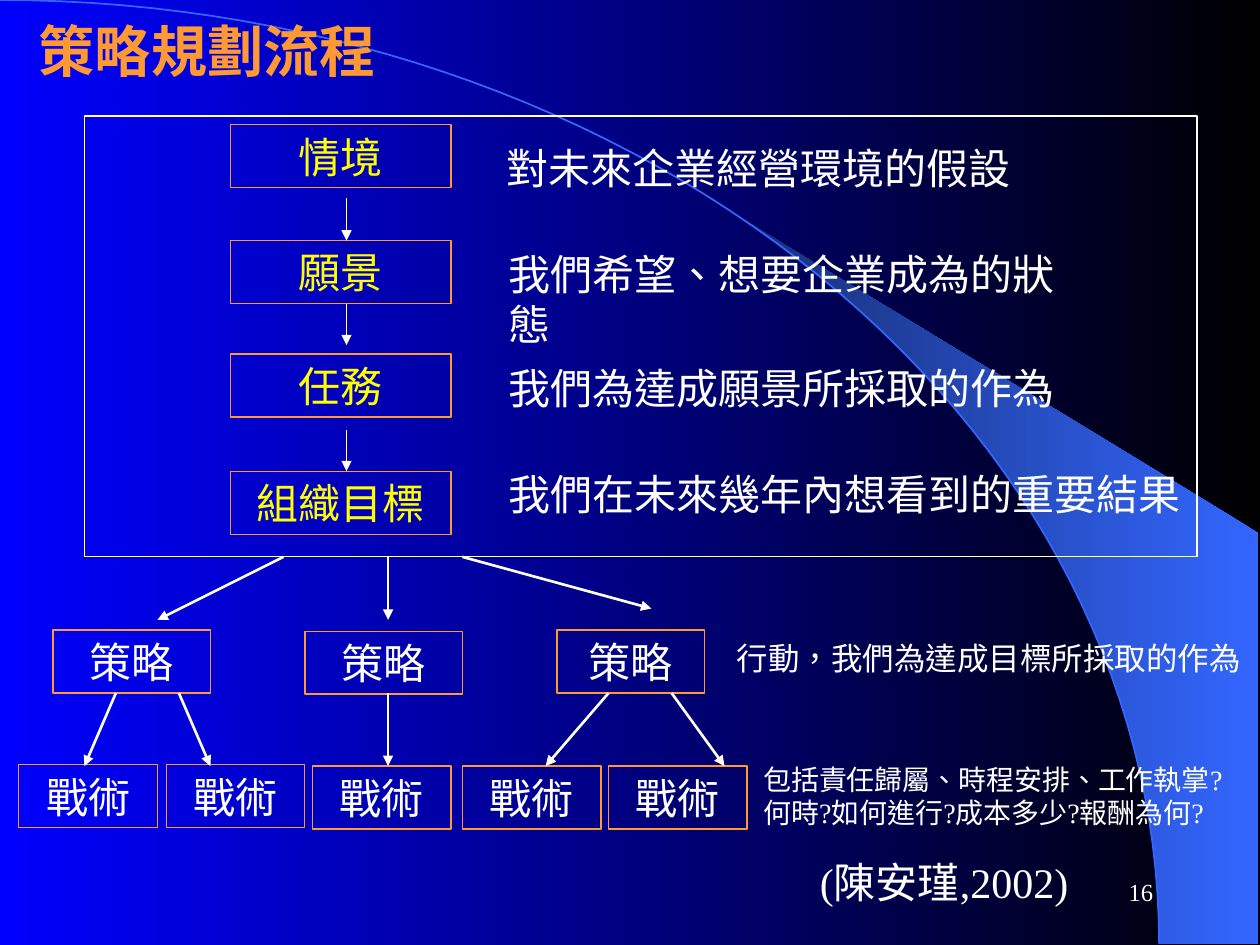
from math import asin, cos, pi, sin

from lxml import etree
from pptx import Presentation
from pptx.dml.color import RGBColor
from pptx.enum import lang, shapes, text
from pptx.oxml.ns import qn
from pptx.util import Inches, Pt

WHITE, YELLOW, ORANGE = "FFFFFF", "FFFF00", "FF9933"
FONT = "Times New Roman"

TITLE = "策略規劃流程"
# label, box top, note, note left, note top
STEPS = [
    ("情境", 0.99, "對未來企業經營環境的假設", 3.92, 1.08),
    ("願景", 1.91, "我們希望、想要企業成為的狀態", 3.94, 1.92),
    ("任務", 2.81, "我們為達成願景所採取的作為", 3.94, 2.83),
    ("組織目標", 3.74, "我們在未來幾年內想看到的重要結果", 3.94, 3.67),
]
NOTE_WIDTHS = [4.2, 4.86, 4.53, 5.53]
PLANS = [(0.42, 5, 1.25), (2.42, 5.01, 1.25), (4.42, 5, 1.17)]
TACTICS = [(0.15, 6.07), (1.32, 6.07), (2.48, 6.08), (3.67, 6.08), (4.83, 6.08)]
PLAN_NOTE = "行動，我們為達成目標所採取的作為"
TACTIC_NOTE = ["包括責任歸屬、時程安排、工作執掌?", "何時?如何進行?成本多少?報酬為何?"]
SOURCE = "(陳安瑾,2002)"

DROPS = [(1.57, 1.91), (2.41, 2.74), (3.41, 3.74)]  # arrows between steps
FANS = [(3.08, 3.08, 4.92), (3.67, 5.17, 4.83), (2.25, 1.25, 4.92)]
FORKS = [(0.92, 0.67), (1.42, 1.67), (3.08, 3.08), (4.83, 4.33), (5.33, 5.75)]

ARC_W, ARC_H = 9.2, 7.49
TIP = (5.89, 1.73)  # where the wedge leaves the arc


def color(code):
    return RGBColor.from_string(code)


def shade(fill, first, last):
    fill.gradient()
    fill.gradient_angle = 180
    for stop, code in zip(fill.gradient_stops, (first, last)):
        stop.color.rgb = color(code)


def curve(start, count=60):
    """Points along the quarter ellipse, from angle start to its lower end."""
    angles = [start + (pi / 2 - start) * i / count for i in range(count + 1)]
    return [(ARC_W * sin(a), ARC_H * (1 - cos(a))) for a in angles]


def outline(points, close):
    spots = [(Inches(x), Inches(y)) for x, y in points]
    pen = slide.shapes.build_freeform(*spots[0], scale=1.0)
    pen.add_line_segments(spots[1:], close=close)
    shape = pen.convert_to_shape()
    shape.shadow.inherit = False
    return shape


def write(shape, words, size=24, ink=WHITE, bold=False, align="LEFT",
          wrap=False, grow=True):
    frame = shape.text_frame
    frame.word_wrap = wrap
    fit = text.MSO_AUTO_SIZE
    frame.auto_size = fit.SHAPE_TO_FIT_TEXT if grow else fit.NONE
    lines = [words] if isinstance(words, str) else words
    for i, line in enumerate(lines):
        para = frame.add_paragraph() if i else frame.paragraphs[0]
        para.alignment = getattr(text.PP_ALIGN, align)
        run = para.add_run()
        run.text = line
        font = run.font
        font.name, font.size, font.bold = FONT, Pt(size), bold
        font.color.rgb = color(ink)
        font.language_id = lang.MSO_LANGUAGE_ID.TRADITIONAL_CHINESE
    return shape


def label(words, x, y, w, h=0.5, **style):
    box = slide.shapes.add_textbox(*map(Inches, (x, y, w, h)))
    return write(box, words, **style)


def rect(x, y, w, h=0.5, edge=ORANGE):
    box = slide.shapes.add_shape(shapes.MSO_SHAPE.RECTANGLE,
                                 *map(Inches, (x, y, w, h)))
    box.shadow.inherit = False
    box.fill.background()
    box.line.color.rgb = color(edge)
    box.line.width = Pt(0.75)
    return box


def arrow(x1, y1, x2, y2, width=1.5):
    line = slide.shapes.add_connector(shapes.MSO_CONNECTOR.STRAIGHT,
                                      *map(Inches, (x1, y1, x2, y2)))
    line.line.color.rgb = color(WHITE)
    line.line.width = Pt(width)
    etree.SubElement(line.line._get_or_add_ln(), qn("a:tailEnd"), type="triangle")
    etree.SubElement(line._element.spPr, qn("a:effectLst"))


deck = Presentation()
deck.slide_width, deck.slide_height = Inches(10), Inches(7.5)
slide = deck.slides.add_slide(deck.slide_layouts[6])
shade(slide.background.fill, "000000", "0000FF")

wedge = outline(curve(asin(TIP[0] / ARC_W)) + [(9.99, ARC_H), (9.99, 4.23)], True)
shade(wedge.fill, "3366FF", "172F75")
wedge.line.fill.background()

arc = outline(curve(0), False)
arc.fill.background()
arc.line.color.rgb = color("3366FF")
arc.line.width = Pt(1)

label(TITLE, 0.21, 0.08, 2.87, 0.64, size=32, ink=ORANGE, bold=True, align="CENTER")

rect(0.67, 0.92, 8.83, 3.5, edge=WHITE)
for (name, top, note, x, y), width in zip(STEPS, NOTE_WIDTHS):
    write(rect(1.83, top, 1.75), name, ink=YELLOW, align="CENTER", wrap=True)
    label(note, x, y, width)
for x, y, width in PLANS:
    write(rect(x, y, width), "策略", align="CENTER", wrap=True)
for x, y in TACTICS:
    write(rect(x, y, 1.1), "戰術", align="CENTER", wrap=True)

for top, end in DROPS:
    arrow(2.75, top, 2.75, end, width=0.75)
for x1, x2, end in FANS:
    arrow(x1, 4.42, x2, end)
for x1, x2 in FORKS:
    arrow(x1, 5.5, x2, 6.08)

label(PLAN_NOTE, 5.75, 5.02, 4.2, 0.4, size=18)
label(TACTIC_NOTE, 5.96, 6, 4.07, 0.64, size=16)
label(SOURCE, 6.41, 6.75, 2.33)
page = label("16", 7.17, 6.83, 2.08, size=14, align="RIGHT", wrap=True, grow=False)
page.text_frame.vertical_anchor = text.MSO_ANCHOR.MIDDLE

deck.save("out.pptx")
